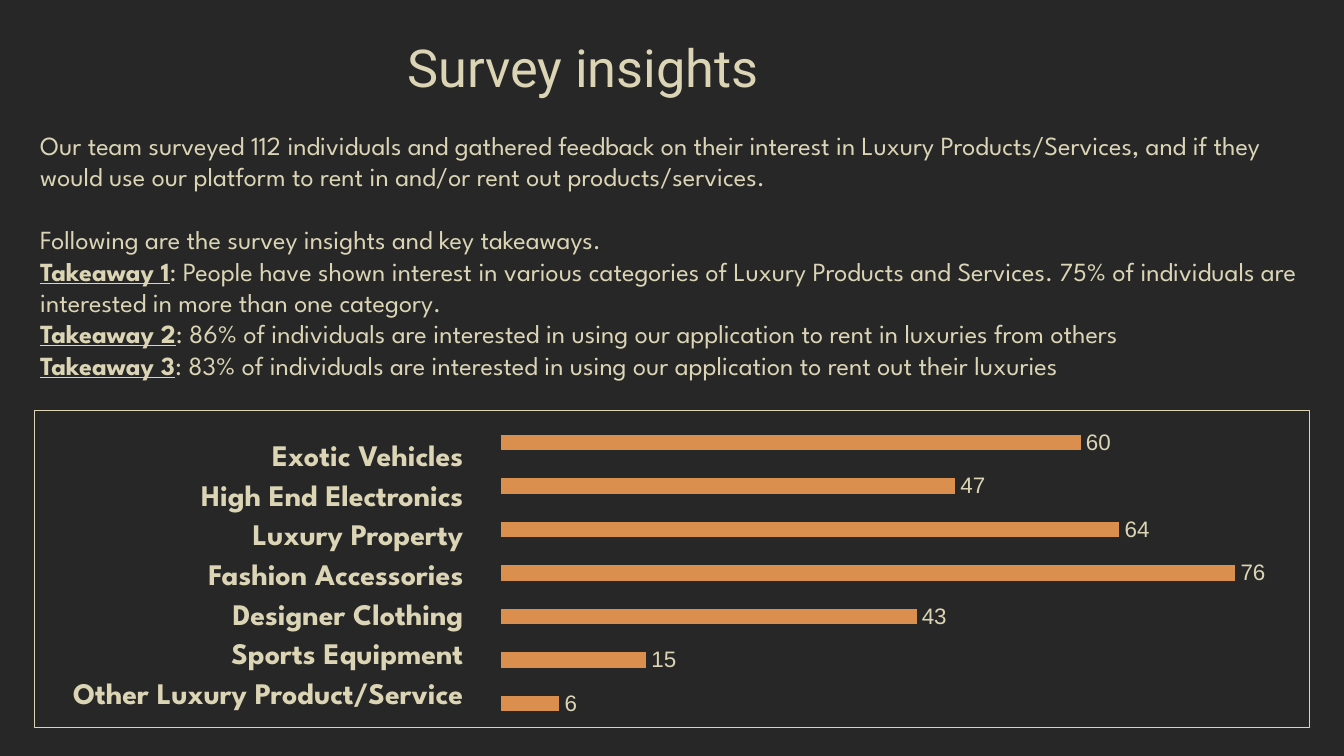
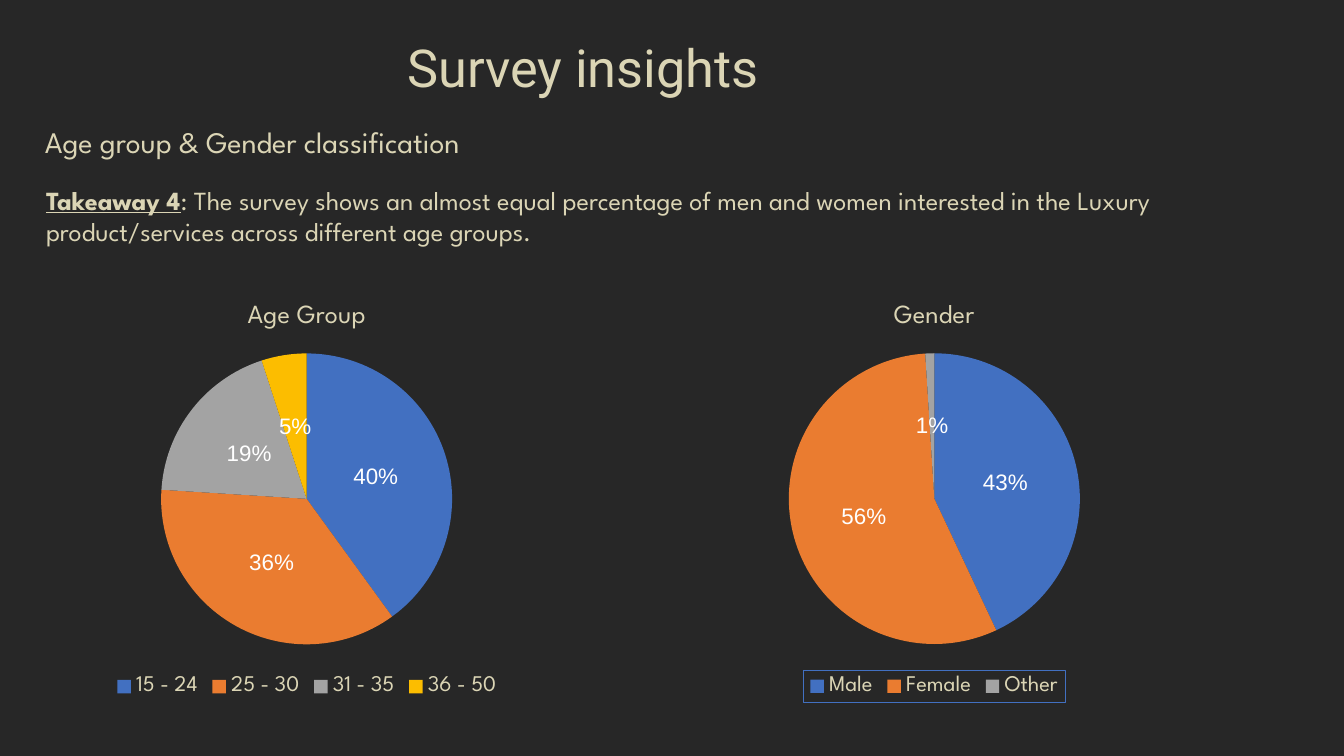
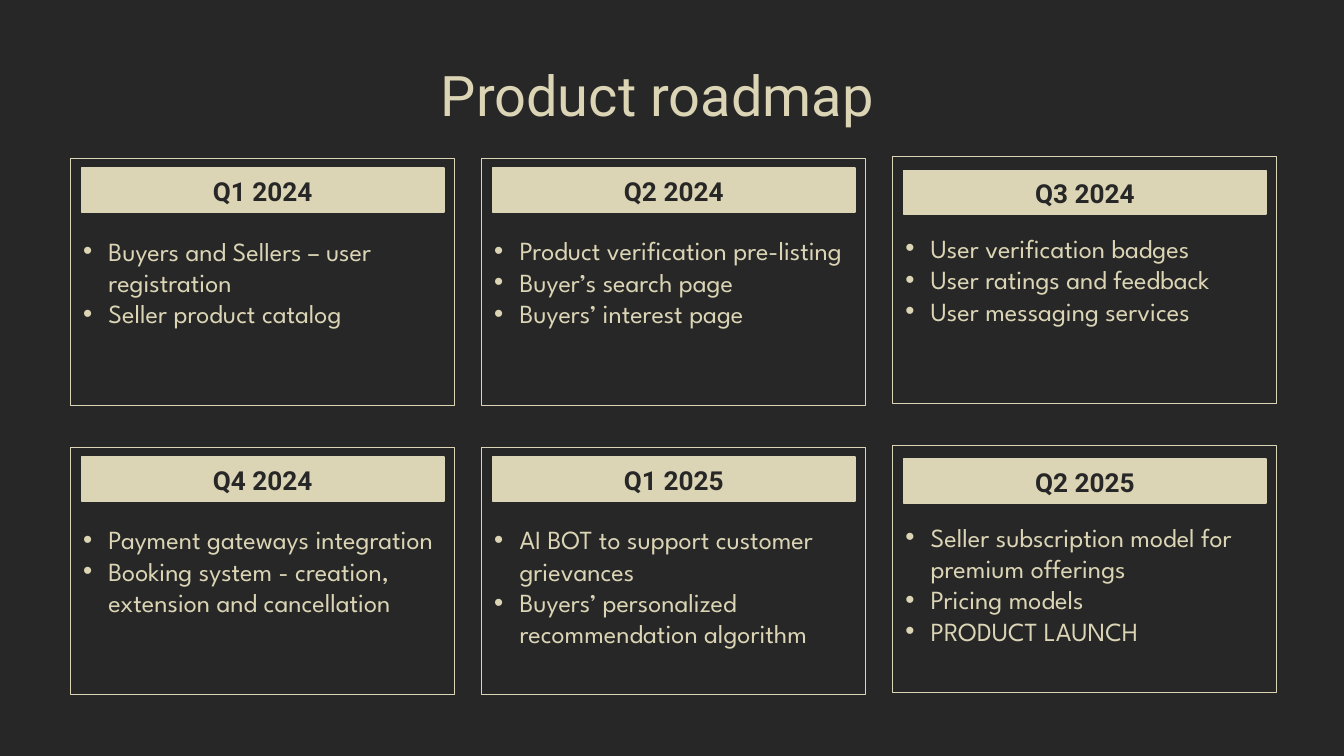
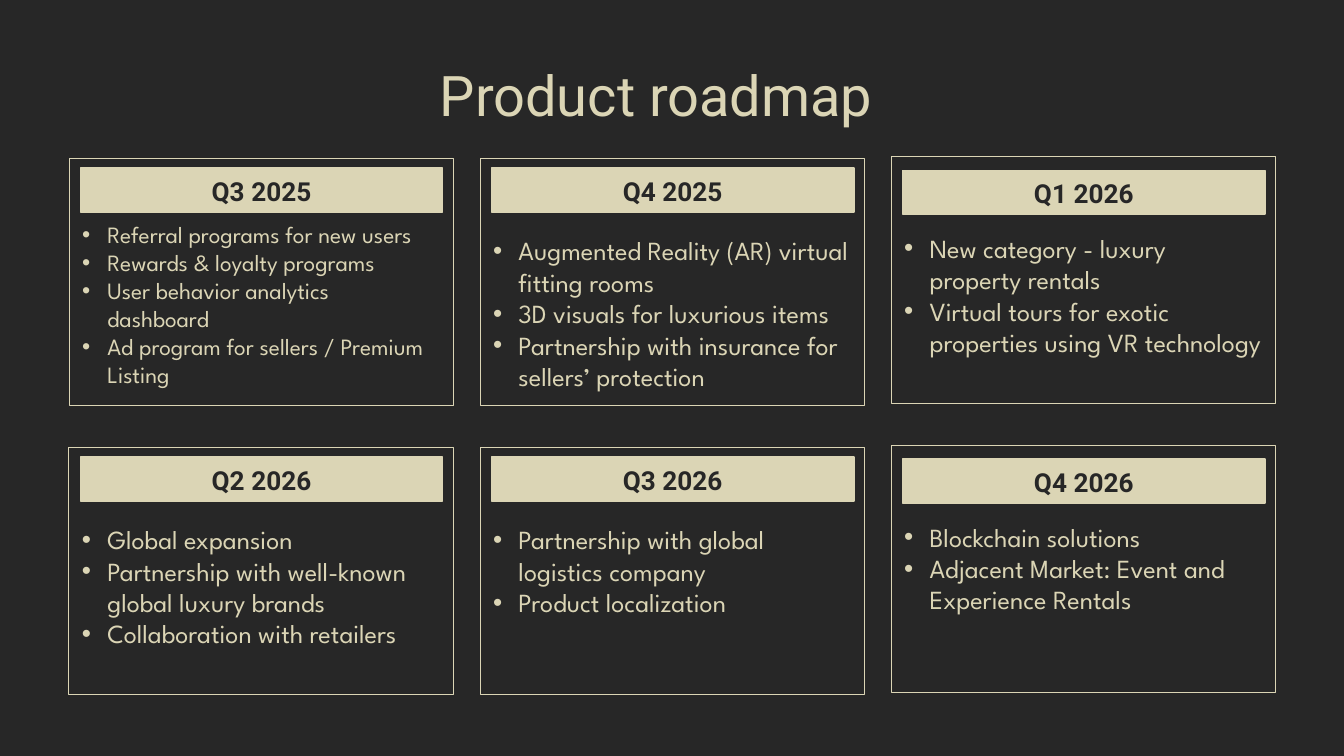
from pptx import Presentation
from pptx.chart.data import CategoryChartData
from pptx.dml.color import RGBColor
from pptx.enum.chart import XL_CHART_TYPE, XL_LABEL_POSITION, XL_LEGEND_POSITION
from pptx.enum.shapes import MSO_SHAPE
from pptx.enum.text import MSO_ANCHOR, MSO_AUTO_SIZE, PP_ALIGN
from pptx.oxml import parse_xml
from pptx.oxml.ns import nsdecls, qn
from pptx.util import Cm, Pt

COLORS = {
    "background": "272727",
    "cream": "DBD5B5",
    "bar": "DA8F4E",
    "white": "FFFFFF",
    "blue": "4270C1",
    "orange": "EA7C30",
    "gray": "A3A3A3",
    "yellow": "FCBD00",
}
SLICE_COLORS = ["blue", "orange", "gray", "yellow"]
BODY_FONT = "League Spartan"
TITLE_FONT = "Roboto"


def write_text(shape, box, paragraphs, size, font=BODY_FONT, color="cream", bold=False,
               alignment=PP_ALIGN.LEFT, bullet=False, top_margin=0.25, space_after=0):
    shape.left, shape.top, shape.width, shape.height = [Cm(length) for length in box]
    frame = shape.text_frame
    frame.word_wrap = True
    frame.auto_size = MSO_AUTO_SIZE.NONE
    frame.vertical_anchor = MSO_ANCHOR.TOP
    frame.margin_left = frame.margin_right = frame.margin_bottom = Cm(0.25)
    frame.margin_top = Cm(top_margin)
    for index, runs in enumerate(paragraphs):
        paragraph = frame.paragraphs[0] if index == 0 else frame.add_paragraph()
        properties = paragraph._p.get_or_add_pPr()
        indent = Cm(0.48) if bullet else 0
        properties.set("marL", str(indent))
        properties.set("indent", str(-indent))
        if bullet:
            properties.append(parse_xml(
                f'<a:buClr {nsdecls("a")}><a:srgbClr val="{COLORS[color]}"/></a:buClr>'))
            properties.append(parse_xml(f'<a:buFont {nsdecls("a")} typeface="Arial"/>'))
            properties.append(parse_xml(f'<a:buChar {nsdecls("a")} char="•"/>'))
        else:
            properties.append(parse_xml(f'<a:buNone {nsdecls("a")}/>'))
        paragraph.alignment = alignment
        paragraph.space_before = Pt(0)
        paragraph.space_after = Pt(space_after)
        runs = [runs] if isinstance(runs, str) else runs
        for position, text in enumerate(runs):
            emphasized = len(runs) > 1 and position == 0
            run = paragraph.add_run()
            run.text = text
            run.font.name = font
            run.font.size = Pt(size)
            run.font.bold = bold or emphasized
            run.font.underline = emphasized
            run.font.color.rgb = RGBColor.from_string(COLORS[color])


def add_chart(slide, chart_type, box, categories, values, label_color):
    data = CategoryChartData()
    data.categories = categories
    data.add_series("Series 1", values)
    chart = slide.shapes.add_chart(chart_type, *[Cm(length) for length in box], data).chart
    chart.element.find(qn("c:chart")).addnext(parse_xml(
        f'<c:spPr {nsdecls("c", "a")}><a:noFill/><a:ln><a:noFill/></a:ln></c:spPr>'))
    chart.font.name = "Arial"
    chart.font.size = Pt(10)
    chart.font.color.rgb = RGBColor.from_string(COLORS["background"])
    chart.has_title = False
    chart.has_legend = False
    plot = chart.plots[0]
    plot.has_data_labels = True
    labels = plot.data_labels
    labels.font.name = "Arial"
    labels.font.size = Pt(12)
    labels.font.color.rgb = RGBColor.from_string(COLORS[label_color])
    return chart, plot, labels


presentation = Presentation()
presentation.slide_width = Cm(25.4)
presentation.slide_height = Cm(14.29)
background = presentation.slide_master.background.fill
background.solid()
background.fore_color.rgb = RGBColor.from_string(COLORS["background"])
layout = presentation.slide_layouts[1]

SURVEY_TITLE_BOX = (7.45, 0.41, 9.63, 2.29)
interest_slide = presentation.slides.add_slide(layout)
write_text(interest_slide.shapes.title, SURVEY_TITLE_BOX, ["Survey insights"], 28, TITLE_FONT)
summary = interest_slide.placeholders[1]
write_text(summary, (0.51, 2.19, 24.38, 5.11), [
    "Our team surveyed 112 individuals and gathered feedback on their interest in Luxury "
    "Products/Services, and if they would use our platform to rent in and/or rent out "
    "products/services.",
    "Following are the survey insights and key takeaways.",
    ("Takeaway 1", ": People have shown interest in various categories of Luxury Products and "
     "Services. 75% of individuals are interested in more than one category."),
    ("Takeaway 2", ": 86% of individuals are interested in using our application to rent in "
     "luxuries from others"),
    ("Takeaway 3", ": 83% of individuals are interested in using our application to rent out "
     "their luxuries"),
], 14)
summary.text_frame.paragraphs[1].space_before = Pt(17)

chart, plot, labels = add_chart(
    interest_slide, XL_CHART_TYPE.BAR_CLUSTERED, (9.17, 7.84, 15.21, 5.99),
    ["1", "2", "3", "4", "5", "6", "7"], [6, 15, 43, 76, 64, 47, 60], "cream")
plot.gap_width = 182
plot.vary_by_categories = False
bars = plot.series[0].format.fill
bars.solid()
bars.fore_color.rgb = RGBColor.from_string(COLORS["bar"])
labels.show_value = True
labels.position = XL_LABEL_POSITION.OUTSIDE_END
chart.category_axis.visible = False
chart.value_axis.visible = False
chart.value_axis.has_major_gridlines = False
chart.value_axis.minimum_scale = 0
chart.value_axis.maximum_scale = 80

category_names = interest_slide.shapes.add_textbox(0, 0, 0, 0)
write_text(category_names, (0.5, 8.01, 8.51, 5.21), [
    "Exotic Vehicles", "High End Electronics", "Luxury Property", "Fashion Accessories",
    "Designer Clothing", "Sports Equipment", "Other Luxury Product/Service",
], 16, bold=True, alignment=PP_ALIGN.RIGHT, space_after=2)
chart_frame = interest_slide.shapes.add_shape(
    MSO_SHAPE.RECTANGLE, Cm(0.65), Cm(7.75), Cm(24.09), Cm(5.99))
chart_frame.shadow.inherit = False
chart_frame.fill.background()
chart_frame.line.color.rgb = RGBColor.from_string(COLORS["cream"])
chart_frame.line.width = Pt(0.25)

people_slide = presentation.slides.add_slide(layout)
write_text(people_slide.shapes.title, SURVEY_TITLE_BOX, ["Survey insights"], 28, TITLE_FONT)
write_text(people_slide.placeholders[1], (0.62, 3.23, 23.9, 1.8), [
    ("Takeaway 4", ": The survey shows an almost equal percentage of men and women interested in "
     "the Luxury product/services across different age groups."),
], 14)
subtitle = people_slide.shapes.add_textbox(0, 0, 0, 0)
write_text(subtitle, (0.6, 2.21, 12.34, 1.63), ["Age group & Gender classification"], 16,
           top_margin=0.13)

PIE_TOP, PIE_CHART_HEIGHT, PIE_DIAMETER = 5.33, 7.95, 5.5
PIES = [
    ("Age Group", 1.24, 9.12, ["15 - 24", "25 - 30", "31 - 35", "36 - 50"], [40, 36, 19, 5]),
    ("Gender", 12.92, 9.47, ["Male", "Female", "Other"], [43, 56, 1]),
]
for title, left, width, categories, values in PIES:
    chart, plot, labels = add_chart(
        people_slide, XL_CHART_TYPE.PIE, (left, PIE_TOP, width, PIE_CHART_HEIGHT),
        categories, values, "white")
    chart.has_title = True
    run = chart.chart_title.text_frame.paragraphs[0].add_run()
    run.text = title
    run.font.name = BODY_FONT
    run.font.size = Pt(14)
    run.font.bold = False
    run.font.color.rgb = RGBColor.from_string(COLORS["cream"])
    chart.has_legend = True
    chart.legend.position = XL_LEGEND_POSITION.BOTTOM
    chart.legend.include_in_layout = False
    chart.legend.font.name = BODY_FONT
    chart.legend.font.size = Pt(12)
    chart.legend.font.color.rgb = RGBColor.from_string(COLORS["cream"])
    if title == "Gender":
        legend_text = chart.element.xpath(".//c:legend/c:txPr")[0]
        legend_text.addprevious(parse_xml(
            f'<c:spPr {nsdecls("c", "a")}><a:noFill/><a:ln w="6350"><a:solidFill>'
            f'<a:srgbClr val="{COLORS["blue"]}"/></a:solidFill></a:ln></c:spPr>'))
    labels.show_value = False
    labels.show_percentage = True
    labels.number_format = "0%"
    labels.number_format_is_linked = False
    labels.position = XL_LABEL_POSITION.CENTER
    for index in range(len(values)):
        slice_fill = plot.series[0].points[index].format.fill
        slice_fill.solid()
        slice_fill.fore_color.rgb = RGBColor.from_string(COLORS[SLICE_COLORS[index]])
    plot_area = chart.element.xpath(".//c:plotArea")[0]
    for automatic_layout in plot_area.findall(qn("c:layout")):
        plot_area.remove(automatic_layout)
    share = PIE_DIAMETER / width
    plot_area.insert(0, parse_xml(
        f'<c:layout {nsdecls("c")}><c:manualLayout><c:layoutTarget val="inner"/>'
        f'<c:xMode val="edge"/><c:yMode val="edge"/><c:x val="{(1 - share) / 2:.3f}"/>'
        f'<c:y val="0.17"/><c:w val="{share:.3f}"/>'
        f'<c:h val="{PIE_DIAMETER / PIE_CHART_HEIGHT:.3f}"/></c:manualLayout></c:layout>'))

ROADMAPS = [
    (1.32, [
        ("Q1 2024", ["Buyers and Sellers – user registration", "Seller product catalog"]),
        ("Q2 2024", ["Product verification pre-listing", "Buyer’s search page",
                     "Buyers’ interest page"]),
        ("Q3 2024", ["User verification badges", "User ratings and feedback",
                     "User messaging services"]),
        ("Q4 2024", ["Payment gateways integration",
                     "Booking system - creation, extension and cancellation"]),
        ("Q1 2025", ["AI BOT to support customer grievances",
                     "Buyers’ personalized recommendation algorithm"]),
        ("Q2 2025", ["Seller subscription model for premium offerings", "Pricing models",
                     "PRODUCT LAUNCH"]),
    ]),
    (1.3, [
        ("Q3 2025", ["Referral programs for new users", "Rewards & loyalty programs",
                     "User behavior analytics dashboard",
                     "Ad program for sellers / Premium Listing"]),
        ("Q4 2025", ["Augmented Reality (AR) virtual fitting rooms",
                     "3D visuals for luxurious items",
                     "Partnership with insurance for sellers’ protection"]),
        ("Q1 2026", ["New category - luxury property rentals",
                     "Virtual tours for exotic properties using VR technology"]),
        ("Q2 2026", ["Global expansion", "Partnership with well-known global luxury brands",
                     "Collaboration with retailers"]),
        ("Q3 2026", ["Partnership with global logistics company", "Product localization"]),
        ("Q4 2026", ["Blockchain solutions", "Adjacent Market: Event and Experience Rentals"]),
    ]),
]
for grid_left, quarters in ROADMAPS:
    slide = presentation.slides.add_slide(layout)
    write_text(slide.shapes.title, (grid_left + 0.4, 0.89, 21.41, 1.52), ["Product roadmap"], 30,
               TITLE_FONT, alignment=PP_ALIGN.CENTER)
    for index, (quarter, features) in enumerate(quarters):
        row, column = divmod(index, 3)
        left = grid_left + column * 7.77
        top = 3 + row * 5.46 - (0.05 if column == 2 else 0)
        header_offset = 0.27 if column == 2 else 0.18
        if index == 0:
            card = slide.placeholders[1]
        else:
            card = slide.shapes.add_shape(MSO_SHAPE.RECTANGLE, 0, 0, 0, 0)
            card.shadow.inherit = False
        card.fill.background()
        card.line.color.rgb = RGBColor.from_string(COLORS["cream"])
        card.line.width = Pt(0.25)
        crowded = len(features) > 3
        write_text(card, (left, top, 7.26, 4.67), features, 12.5 if crowded else 14, bullet=True,
                   top_margin=1.17 if crowded else 1.44)
        if crowded:
            card.text_frame.margin_right = Cm(0.45)
        header = slide.shapes.add_shape(MSO_SHAPE.RECTANGLE, 0, 0, 0, 0)
        header.shadow.inherit = False
        header.fill.solid()
        header.fill.fore_color.rgb = RGBColor.from_string(COLORS["cream"])
        header.line.color.rgb = RGBColor.from_string(COLORS["cream"])
        header.line.width = Pt(0.75)
        write_text(header, (left + 0.22, top + header_offset, 6.85, 0.83), [quarter], 14,
                   TITLE_FONT, "background", bold=True, alignment=PP_ALIGN.CENTER,
                   top_margin=0.13)

presentation.save("out.pptx")
